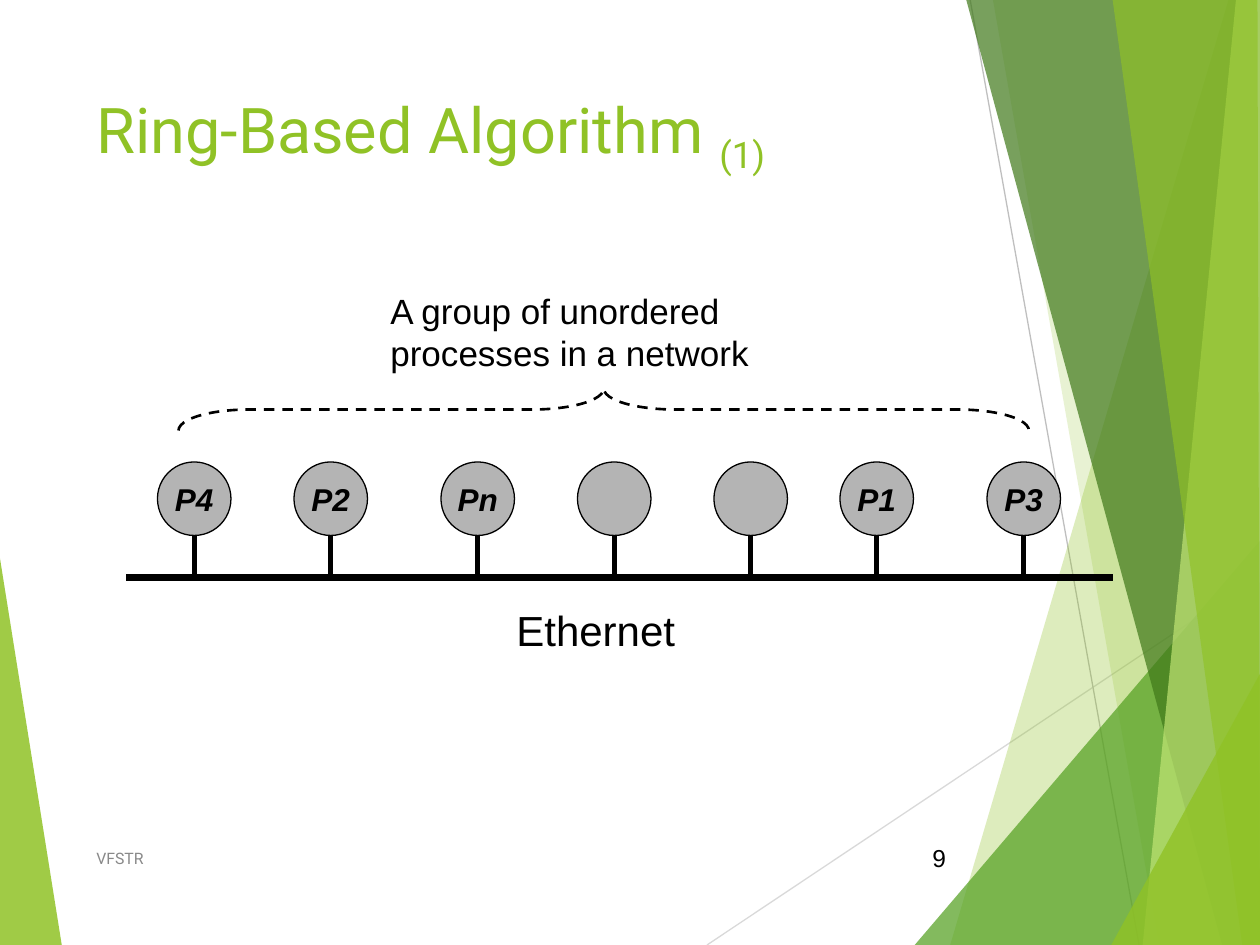
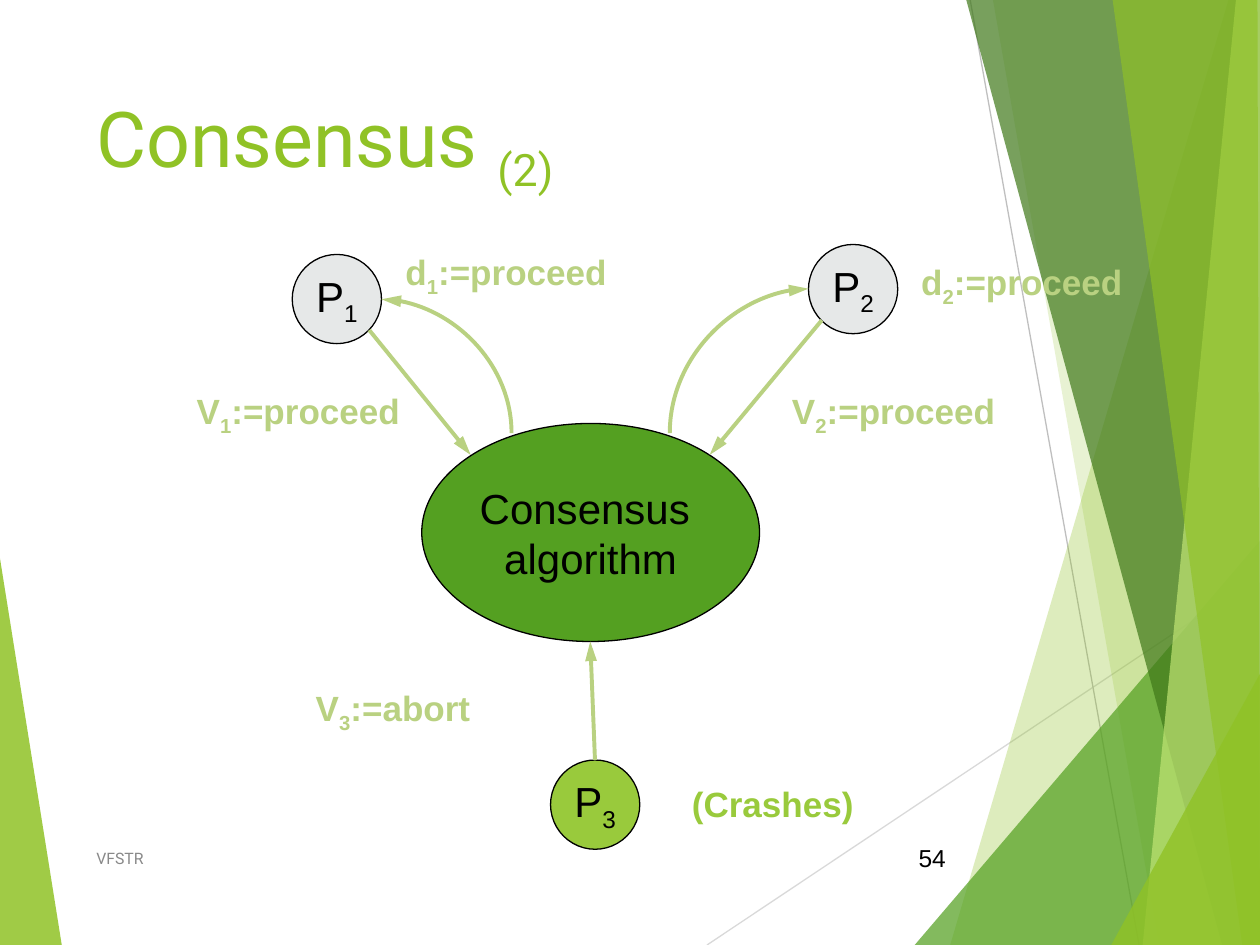
from lxml import etree
from pptx import Presentation
from pptx.dml.color import RGBColor
from pptx.enum.dml import MSO_LINE
from pptx.enum.shapes import MSO_CONNECTOR, MSO_SHAPE
from pptx.enum.text import MSO_ANCHOR, PP_ALIGN
from pptx.oxml.ns import qn
from pptx.util import Pt

STRAIGHT, CURVE = MSO_CONNECTOR.STRAIGHT, MSO_CONNECTOR.CURVE
OVAL, BRACE = MSO_SHAPE.OVAL, MSO_SHAPE.RIGHT_BRACE
TOP, MIDDLE = MSO_ANCHOR.TOP, MSO_ANCHOR.MIDDLE
LEFT, CENTER, RIGHT = PP_ALIGN.LEFT, PP_ALIGN.CENTER, PP_ALIGN.RIGHT
DASH = MSO_LINE.DASH

LIME = RGBColor(0x90, 0xC2, 0x26)
GREEN = RGBColor(0x54, 0xA0, 0x21)
DARK_GREEN = RGBColor(0x3F, 0x78, 0x19)
PALE_LIME = RGBColor(0xC0, 0xE4, 0x74)
CRASH_GREEN = RGBColor(0x99, 0xCA, 0x3C)
SAGE = RGBColor(0xB9, 0xD1, 0x81)
BLACK = RGBColor(0, 0, 0)
NODE_GRAY = RGBColor(0xB4, 0xB4, 0xB4)
PROCESS_GRAY = RGBColor(0xE6, 0xE8, 0xE8)
FOOTER_GRAY = RGBColor(0x89, 0x89, 0x89)
RULE_LIGHT = RGBColor(0xD9, 0xD9, 0xD9)
RULE_GRAY = RGBColor(0xBF, 0xBF, 0xBF)

BODY_FONT, TITLE_FONT = "Arial", "Roboto"
W, H = 720, 540

LEFT_WEDGE = ([(-0.5, 316), (35.3, H), (-0.5, H)], LIME, 85)
RIGHT_BANDS = [
    ([(702, 0), (543, H), (W, H), (W, 0)], LIME, 30),
    ([(567.4, 0), (662.4, H), (W, H), (W, 0)], LIME, 20),
    ([(522.7, H), (W, 309), (W, H)], GREEN, 72),
    ([(552.2, 0), (698.4, H), (W, H), (W, 0)], DARK_GREEN, 70),
    ([(706.3, 0), (653, H), (W, H), (W, 0)], PALE_LIME, 70),
    ([(635.8, 0), (709.9, H), (W, H), (718.6, 0)], LIME, 65),
    ([(635, H), (W, 385), (W, H)], LIME, 80),
]


def write(tf, lines, size, color=BLACK, font=BODY_FONT, align=LEFT,
          anchor=TOP, wrap=True, bold=False, italic=False):
    """Each line is a list of pieces; every second piece is a subscript."""
    tf.word_wrap = wrap
    tf.vertical_anchor = anchor
    for i, pieces in enumerate(lines):
        p = tf.add_paragraph() if i else tf.paragraphs[0]
        p.alignment = align
        for j, piece in enumerate(pieces):
            r = p.add_run()
            r.text = piece
            r.font.name = font
            r.font.size = Pt(size)
            r.font.color.rgb = color
            r.font.bold = bold
            r.font.italic = italic
            if j % 2:
                r.font._element.set("baseline", "-25000")


def add_label(s, x, y, w, h, pieces, size, **style):
    tb = s.shapes.add_textbox(Pt(x), Pt(y), Pt(w), Pt(h))
    write(tb.text_frame, [pieces], size, **style)


def add_oval(s, x, y, w, h, fill, lines, size, **style):
    sp = s.shapes.add_shape(OVAL, Pt(x), Pt(y), Pt(w), Pt(h))
    sp.shadow.inherit = False
    sp.fill.solid()
    sp.fill.fore_color.rgb = fill
    sp.line.color.rgb = BLACK
    sp.line.width = Pt(0.75)
    write(sp.text_frame, lines, size, align=CENTER, anchor=MIDDLE,
          wrap=False, **style)


def add_line(s, start, end, color, width, kind=STRAIGHT, arrow=None):
    cx = s.shapes.add_connector(kind, *(Pt(v) for v in (*start, *end)))
    cx.line.color.rgb = color
    cx.line.width = Pt(width)
    if arrow:
        ln = cx.line._get_or_add_ln()
        etree.SubElement(ln, qn(f"a:{arrow}"), type="triangle", len="lg")
    etree.SubElement(cx._element.spPr, qn("a:effectLst"))
    return cx


def add_curved_arrow(s, tip, origin):
    cx = add_line(s, tip, origin, SAGE, 2.25, CURVE, "headEnd")
    cx._element.spPr.find(qn("a:prstGeom")).set("prst", "curvedConnector2")


def add_band(s, points, color, opacity):
    corners = [(Pt(x), Pt(y)) for x, y in points]
    fb = s.shapes.build_freeform(*corners[0])
    fb.add_line_segments(corners[1:])
    sp = fb.convert_to_shape()
    sp.shadow.inherit = False
    sp.fill.solid()
    sp.fill.fore_color.rgb = color
    clr = sp._element.spPr.find(f"{qn('a:solidFill')}/{qn('a:srgbClr')}")
    etree.SubElement(clr, qn("a:alpha"), val=str(opacity * 1000))
    sp.line.fill.background()


def add_brace(s, left, top, width, height):
    x, y = left + (width - height) / 2, top + (height - width) / 2
    sp = s.shapes.add_shape(BRACE, Pt(x), Pt(y), Pt(height), Pt(width))
    sp.rotation = 270
    sp.adjustments[0] = 1.69
    sp.shadow.inherit = False
    sp.fill.background()
    sp.line.color.rgb = BLACK
    sp.line.width = Pt(1.5)
    sp.line.dash_style = DASH


def add_base_slide(prs, title, title_size, number):
    s = prs.slides.add_slide(prs.slide_layouts[6])
    add_band(s, *LEFT_WEDGE)
    add_line(s, (404, H), (W, 329), RULE_LIGHT, 0.75)
    add_line(s, (554.4, 0), (650.9, H), RULE_GRAY, 0.75)
    for band in RIGHT_BANDS:
        add_band(s, *band)
    add_label(s, 48, 48, 500, 104, title, title_size, color=LIME, font=TITLE_FONT)
    add_label(s, 507.6, 476, 40, 28.8, [number], 14, align=RIGHT, anchor=MIDDLE)
    add_label(s, 48, 476, 364, 28.8, ["VFSTR"], 9, color=FOOTER_GRAY,
              font=TITLE_FONT, anchor=MIDDLE)
    return s


def add_ring_slide(prs):
    s = add_base_slide(prs, ["Ring-Based Algorithm ", "(1)"], 36, "9")
    node_top, node_size, bus_y = 264, 42, 330
    nodes = [(90, "P4"), (168, "P2"), (252, "Pn"), (330, ""), (408, ""),
             (480, "P1"), (564, "P3")]
    for x, name in nodes:
        lines = [[name]] if name else []
        add_oval(s, x, node_top, node_size, node_size, NODE_GRAY, lines, 18,
                 bold=True, italic=True)
        mid = x + node_size / 2
        add_line(s, (mid, node_top + node_size), (mid, bus_y), BLACK, 3)
    add_line(s, (72, bus_y), (636, bus_y), BLACK, 4.5)
    add_label(s, 288, 342, 112, 36, ["Ethernet"], 24)
    add_label(s, 216, 162, 282, 55.4,
              ["A group of unordered processes in a network"], 20)
    add_brace(s, 102, 222, 486, 24)


def add_consensus_slide(prs):
    s = add_base_slide(prs, ["Consensus ", "(2)"], 44, "54")
    add_oval(s, 241, 242, 193, 124.6, GREEN, [["Consensus "], ["algorithm"]], 24)
    processes = [(167, 145.4, "1", PROCESS_GRAY), (314.6, 434.3, "3", CRASH_GREEN),
                 (462, 139.7, "2", PROCESS_GRAY)]
    for x, y, index, fill in processes:
        add_oval(s, x, y, 51, 51, fill, [["P", index]], 24)

    votes = [((211, 188.6), (269, 260)), ((340, 434.3), (337.3, 366.6)),
             ((469.6, 183), (405.5, 260))]
    for start, end in votes:
        add_line(s, start, end, SAGE, 2.25, arrow="tailEnd")
    add_curved_arrow(s, (218, 171), (292.3, 247.5))
    add_curved_arrow(s, (462, 165), (382.8, 247.5))

    values = [(224.6, 139.7, 138, "d", "1", "proceed"),
              (519.3, 145.4, 138, "d", "2", "proceed"),
              (105.3, 219, 138, "V", "1", "proceed"),
              (445.5, 219, 138, "V", "2", "proceed"),
              (173.3, 389, 110, "V", "3", "abort")]
    for x, y, w, name, index, value in values:
        add_label(s, x, y, w, 34.6, [name, index, f":={value}"], 20,
                  color=SAGE, bold=True)
    add_label(s, 388.3, 443.5, 114, 31.7, ["(Crashes)"], 20,
              color=CRASH_GREEN, bold=True)


def main():
    prs = Presentation()
    prs.slide_width, prs.slide_height = Pt(W), Pt(H)
    add_ring_slide(prs)
    add_consensus_slide(prs)
    prs.save("out.pptx")


if __name__ == "__main__":
    main()
